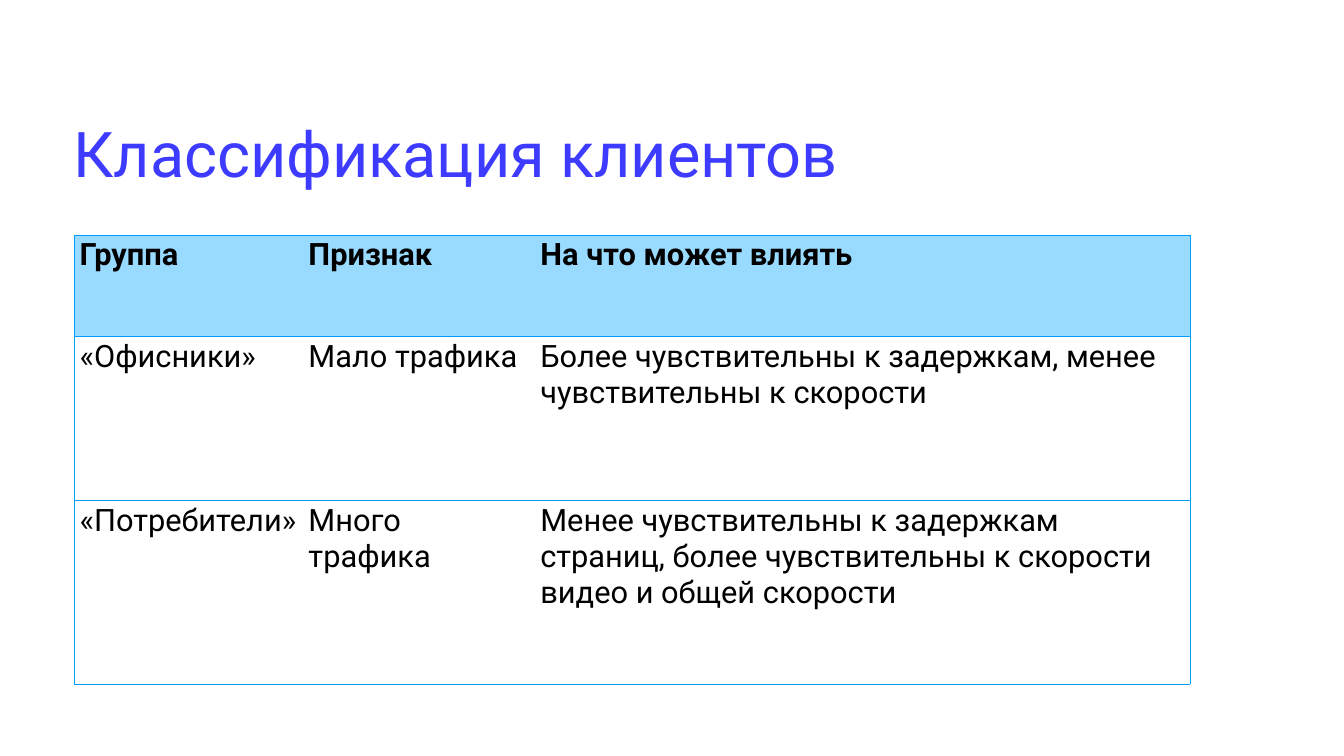
"""Build a slide with a table that classifies network clients."""
from lxml import etree
from pptx import Presentation
from pptx.dml.color import RGBColor
from pptx.enum.text import MSO_ANCHOR, PP_ALIGN
from pptx.oxml.ns import qn
from pptx.util import Pt

TITLE = "Классификация клиентов"
ROWS = [
    ("Группа", "Признак", "На что может влиять"),
    ("«Офисники»", "Мало трафика",
     "Более чувствительны к задержкам, менее чувствительны к скорости"),
    ("«Потребители»", "Много трафика",
     "Менее чувствительны к задержкам страниц, "
     "более чувствительны к скорости видео и общей скорости"),
]
COLUMN_WIDTHS = (326.9, 331.2, 935.3)
ROW_HEIGHTS = (145.4, 234, 262)
TABLE_LEFT, TABLE_TOP = 106.6, 335.5

FONT = "Roboto"
TITLE_COLOR = RGBColor(0x3D, 0x3B, 0xFF)
TEXT_COLOR = RGBColor(0, 0, 0)
HEADER_FILL = RGBColor(0x99, 0xDA, 0xFF)
BORDER_COLOR = RGBColor(0x00, 0x9E, 0xF9)
BORDER_WIDTH = 0.75
LEFT = PP_ALIGN.LEFT
MIDDLE, TOP = MSO_ANCHOR.MIDDLE, MSO_ANCHOR.TOP


def format_paragraph(paragraph, size, color, bold=False):
    paragraph.alignment = LEFT
    paragraph.font.name = FONT
    paragraph.font.size = Pt(size)
    paragraph.font.bold = bold
    paragraph.font.color.rgb = color


def set_borders(cell, visible):
    properties = cell._tc.get_or_add_tcPr()
    for index, side in enumerate(("lnL", "lnR", "lnT", "lnB")):
        line = etree.Element(qn(f"a:{side}"), w=str(Pt(BORDER_WIDTH)))
        if side in visible:
            fill = etree.SubElement(line, qn("a:solidFill"))
            etree.SubElement(fill, qn("a:srgbClr"), val=str(BORDER_COLOR))
        else:
            etree.SubElement(line, qn("a:noFill"))
        properties.insert(index, line)


def add_title(slide):
    title = slide.shapes.title
    title.left, title.top = Pt(100), Pt(160)
    title.width, title.height = Pt(1319), Pt(116)
    frame = title.text_frame
    frame.text = TITLE
    frame.word_wrap = True
    frame.vertical_anchor = MIDDLE
    frame.margin_left = frame.margin_right = Pt(4.5)
    frame.margin_top = frame.margin_bottom = Pt(4.5)
    format_paragraph(frame.paragraphs[0], 90, TITLE_COLOR)


def add_client_table(slide):
    table = slide.shapes.add_table(
        len(ROWS), len(COLUMN_WIDTHS), Pt(TABLE_LEFT), Pt(TABLE_TOP),
        Pt(sum(COLUMN_WIDTHS)), Pt(sum(ROW_HEIGHTS))).table
    table.first_row = table.horz_banding = False
    for column, width in zip(table.columns, COLUMN_WIDTHS):
        column.width = Pt(width)
    for row, height in zip(table.rows, ROW_HEIGHTS):
        row.height = Pt(height)

    last_column = len(COLUMN_WIDTHS) - 1
    for row_index, texts in enumerate(ROWS):
        is_header = row_index == 0
        for column_index, text in enumerate(texts):
            cell = table.cell(row_index, column_index)
            cell.text = text
            cell.vertical_anchor = TOP
            format_paragraph(cell.text_frame.paragraphs[0], 44, TEXT_COLOR, is_header)
            if is_header:
                cell.fill.solid()
                cell.fill.fore_color.rgb = HEADER_FILL
            else:
                cell.fill.background()
            visible = {"lnT", "lnB"}
            if column_index == 0:
                visible.add("lnL")
            if column_index == last_column:
                visible.add("lnR")
            set_borders(cell, visible)


def main():
    presentation = Presentation()
    presentation.slide_width, presentation.slide_height = Pt(1920), Pt(1080)
    slide = presentation.slides.add_slide(presentation.slide_layouts[5])
    add_title(slide)
    add_client_table(slide)
    presentation.save("out.pptx")


if __name__ == "__main__":
    main()
